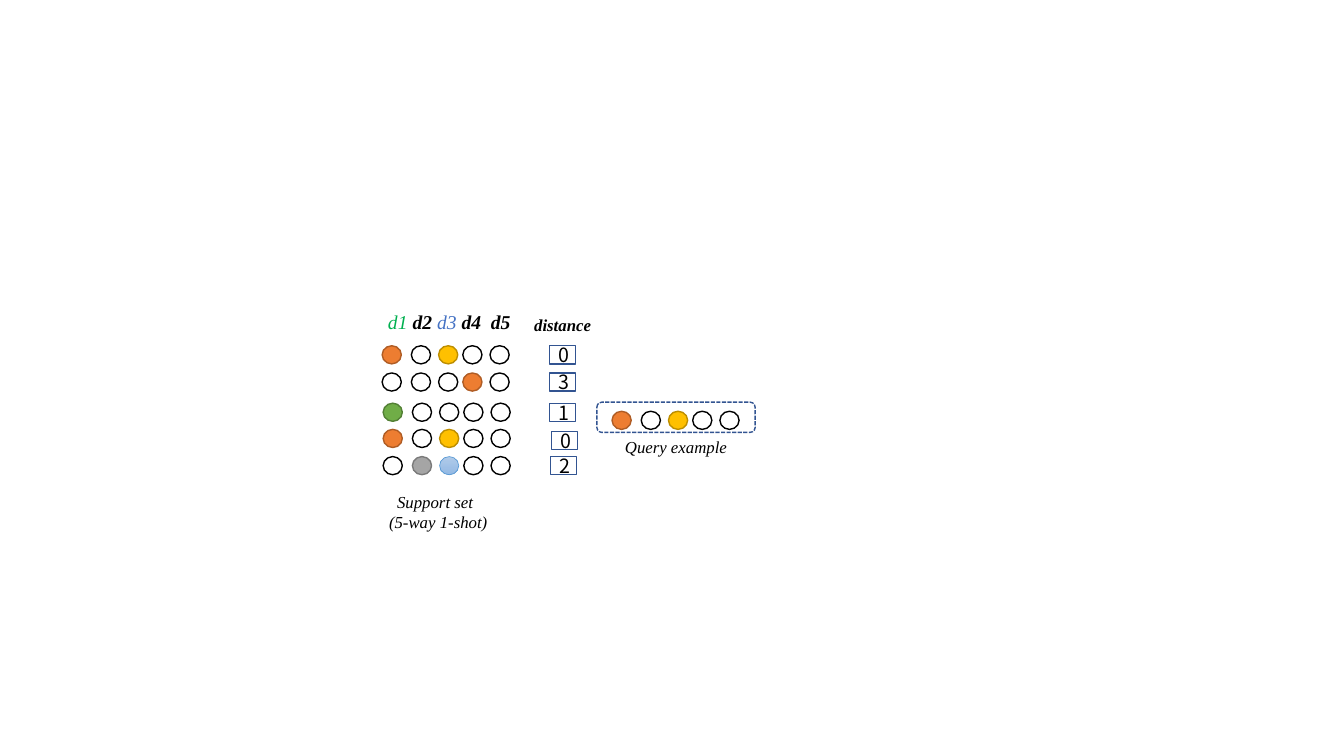
"""Build a slide comparing a five-way support set with a query example."""
import pptx
import pptx.util
import pptx.dml.color
import pptx.enum.dml
import pptx.enum.shapes
import pptx.enum.text
import lxml.etree

THEME = {
    "serif": "Times New Roman", "sans": "Noto Sans CJK SC",
    "large": 14, "small": 12,
    "black": "000000", "white": "FFFFFF", "navy": "325491",
    "green text": "00B050", "blue text": "4472C4",
    "dots": {
        "empty": ("FFFFFF", "000000", 1),
        "orange": ("ED7D31", "AF5C24", 1),
        "yellow": ("FFC000", "BD8E00", 1),
        "green": ("70AD47", "538035", 1),
        "gray": ("A5A5A5", "7A7A7A", 1),
        "blue": (("B1CBE9", "93B9E4"), "5B9BD5", 0.5),
    },
}

# Each row: left, top, filled dots by column, distance, distance box left and top
SUPPORT = [
    (3.79, 3.43, {0: "orange", 2: "yellow"}, "0", 5.45, 3.43),
    (3.79, 3.70, {3: "orange"}, "3", 5.45, 3.70),
    (3.80, 4.00, {0: "green"}, "1", 5.45, 4.00),
    (3.80, 4.26, {0: "orange", 2: "yellow"}, "0", 5.47, 4.28),
    (3.80, 4.53, {1: "gray", 2: "blue"}, "2", 5.46, 4.53),
]
QUERY = (6.07, 4.08, {0: "orange", 2: "yellow"})
QUERY_FRAME = (5.92, 3.99, 1.57, 0.30)
COLUMNS = (0, 0.29, 0.56, 0.80, 1.07)
DOT_SIZE = (0.19, 0.18)
DISTANCE_SIZE = (0.26, 0.18)
LAST_HEADING_TAB = 1.02
CAPTION_INDENT = 0.08

HEADINGS = [("d1 ", "green text", False), ("d2 ", "black", True),
            ("d3", "blue text", False), (" d4\td5", "black", True)]
LABELS = [
    ((3.75, 3.03, 1.43, 0.34), "large", [HEADINGS]),
    ((3.76, 4.83, 1.19, 0.50), "small",
     [[("Support set", "black", False)], [("(5-way 1-shot)", "black", False)]]),
    ((6.10, 4.28, 1.23, 0.30), "small", [[("Query example", "black", False)]]),
    ((5.20, 3.07, 0.77, 0.30), "small", [[("distance", "black", True)]]),
]


def color(code):
    """Turn a hex code into a color."""
    return pptx.dml.color.RGBColor.from_string(code)


def inches(lengths):
    """Convert a sequence of inch lengths."""
    return [pptx.util.Inches(length) for length in lengths]


def add_span(para, text, font, size, ink, bold=False, italic=False):
    """Add one formatted run."""
    span = para.add_run()
    span.text = text
    span.font.name = THEME[font]
    span.font.size = pptx.util.Pt(THEME[size])
    span.font.color.rgb = color(THEME[ink])
    span.font.bold, span.font.italic = bold, italic


def add_outline(diagram, kind, place, fill, line, width=1):
    """Add a filled and outlined preset shape."""
    shape = diagram.shapes.add_shape(kind, *inches(place))
    shape.shadow.inherit = False
    if isinstance(fill, tuple):
        shape.fill.gradient()
        shape.fill.gradient_angle = 270
        for stop, code in zip(shape.fill.gradient_stops, fill):
            stop.color.rgb = color(code)
    else:
        shape.fill.solid()
        shape.fill.fore_color.rgb = color(fill)
    shape.line.color.rgb = color(line)
    shape.line.width = pptx.util.Pt(width)
    return shape


def add_dots(diagram, left, top, filled):
    """Add a row of five dots."""
    for column, offset in enumerate(COLUMNS):
        style = THEME["dots"][filled.get(column, "empty")]
        add_outline(diagram, KINDS.FLOWCHART_CONNECTOR,
                    (left + offset, top, *DOT_SIZE), *style)


def add_distance(diagram, left, top, value):
    """Add a distance box with its centred value."""
    box = add_outline(diagram, KINDS.RECTANGLE, (left, top, *DISTANCE_SIZE),
                      THEME["white"], THEME["navy"])
    frame = box.text_frame
    frame.word_wrap = False
    frame.margin_left = pptx.util.Inches(0.03)
    frame.margin_right = frame.margin_top = frame.margin_bottom = 0
    frame.vertical_anchor = pptx.enum.text.MSO_ANCHOR.MIDDLE
    para = frame.paragraphs[0]
    para.alignment = pptx.enum.text.PP_ALIGN.CENTER
    add_span(para, value, "sans", "large", "black")


def add_label(diagram, place, size, lines):
    """Add an italic label and return its paragraphs."""
    frame = diagram.shapes.add_textbox(*inches(place)).text_frame
    frame.word_wrap = False
    frame.auto_size = pptx.enum.text.MSO_AUTO_SIZE.SHAPE_TO_FIT_TEXT
    for number, line in enumerate(lines):
        para = frame.add_paragraph() if number else frame.paragraphs[0]
        for text, ink, bold in line:
            add_span(para, text, "serif", size, ink, bold, True)
    return frame.paragraphs


KINDS = pptx.enum.shapes.MSO_SHAPE
deck = pptx.Presentation()
deck.slide_width, deck.slide_height = inches((13.33, 7.5))
page = deck.slides.add_slide(deck.slide_layouts[6])
diagram = page.shapes.add_group_shape()

query_frame = add_outline(diagram, KINDS.ROUNDED_RECTANGLE, QUERY_FRAME,
                          THEME["white"], THEME["navy"])
query_frame.line.dash_style = pptx.enum.dml.MSO_LINE.SQUARE_DOT
add_dots(diagram, *QUERY)
for left, top, filled, value, box_left, box_top in SUPPORT:
    add_dots(diagram, left, top, filled)
    add_distance(diagram, box_left, box_top, value)

headings, support_caption, *others = [add_label(diagram, *label) for label in LABELS]
namespace = "{http://schemas.openxmlformats.org/drawingml/2006/main}"
heading_format = headings[0]._p.get_or_add_pPr()
tabs = lxml.etree.SubElement(heading_format, namespace + "tabLst")
lxml.etree.SubElement(tabs, namespace + "tab", algn="l",
                      pos=str(pptx.util.Inches(LAST_HEADING_TAB)))
support_caption[0]._p.get_or_add_pPr().set(
    "marL", str(pptx.util.Inches(CAPTION_INDENT)))

deck.save("out.pptx")
